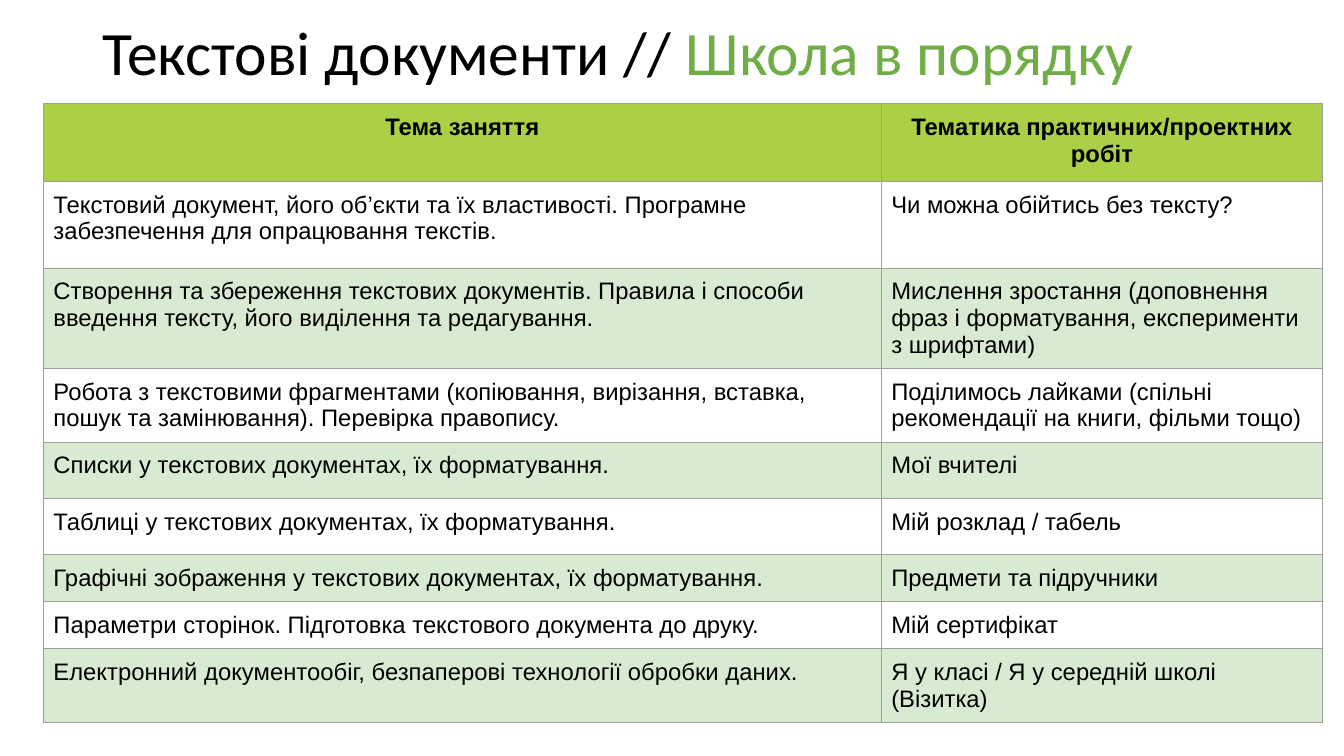
from dataclasses import dataclass

import pptx
import pptx.dml.color
import pptx.enum.text
import pptx.oxml
import pptx.oxml.ns
import pptx.util

Inches = pptx.util.Inches
Pt = pptx.util.Pt
Align = pptx.enum.text.PP_ALIGN
Anchor = pptx.enum.text.MSO_ANCHOR


@dataclass(frozen=True)
class Theme:
    ink: str = "000000"
    green: str = "70AD47"
    head: str = "ABD047"
    band: str = "D9EAD3"
    rule: str = "9E9E9E"
    title: int = 44
    body: int = 17
    line: float = 0.75
    title_font: str = "Calibri"
    body_font: str = "Arial"


@dataclass(frozen=True)
class Row:
    topic: str
    task: str
    height: float


THEME = Theme()
WIDTHS = (8.31, 4.38)
ROWS = (
    Row("Тема заняття", "Тематика практичних/проектних робіт", 0.77),
    Row("Текстовий документ, його об’єкти та їх властивості. "
        "Програмне забезпечення для опрацювання текстів.",
        "Чи можна обійтись без тексту?", 0.86),
    Row("Створення та збереження текстових документів. Правила і способи "
        "введення тексту, його виділення та редагування.",
        "Мислення зростання (доповнення фраз і форматування, "
        "експерименти з шрифтами)", 0.86),
    Row("Робота з текстовими фрагментами (копіювання, вирізання, вставка, "
        "пошук та замінювання). Перевірка правопису.",
        "Поділимось лайками (спільні рекомендації на книги, фільми тощо)", 0.55),
    Row("Списки у текстових документах, їх форматування.", "Мої вчителі", 0.56),
    Row("Таблиці у текстових документах, їх форматування.",
        "Мій розклад / табель", 0.56),
    Row("Графічні зображення у текстових документах, їх форматування.",
        "Предмети та підручники", 0.21),
    Row("Параметри сторінок. Підготовка текстового документа до друку.",
        "Мій сертифікат", 0.13),
    Row("Електронний документообіг, безпаперові технології обробки даних.",
        "Я у класі / Я у середній школі (Візитка)", 0.58),
)


def add_run(para, text: str, font: str, size: int, color: str,
            bold: bool = False) -> None:
    run = para.add_run()
    run.text = text
    run.font.name = font
    run.font.size = Pt(size)
    run.font.bold = bold
    run.font.color.rgb = pptx.dml.color.RGBColor.from_string(color)


def add_title(slide) -> None:
    box = slide.shapes.add_textbox(Inches(0.92), Inches(0.24), Inches(11.5), Inches(0.63))
    frame = box.text_frame
    frame.word_wrap = True
    frame.vertical_anchor = Anchor.MIDDLE
    para = frame.paragraphs[0]
    para.line_spacing = 0.9
    for text, color in (("Текстові документи // ", THEME.ink),
                        ("Школа в порядку", THEME.green)):
        add_run(para, text, THEME.title_font, THEME.title, color)


def add_rules(cell) -> None:
    props = cell._tc.get_or_add_tcPr()
    space = pptx.oxml.ns.nsdecls("a")
    for side in "LRTB":
        props.append(pptx.oxml.parse_xml(
            f'<a:ln{side} {space} w="{Pt(THEME.line)}"><a:solidFill>'
            f'<a:srgbClr val="{THEME.rule}"/></a:solidFill></a:ln{side}>'))


def fill_cell(cell, text: str, index: int) -> None:
    head = index == 0
    cell.margin_left = cell.margin_right = Inches(0.1)
    cell.margin_top = cell.margin_bottom = Inches(0.1)
    add_rules(cell)
    if index % 2:
        cell.fill.background()
    else:
        cell.fill.solid()
        tint = THEME.head if head else THEME.band
        cell.fill.fore_color.rgb = pptx.dml.color.RGBColor.from_string(tint)
    para = cell.text_frame.paragraphs[0]
    para.alignment = Align.CENTER if head else Align.LEFT
    add_run(para, text, THEME.body_font, THEME.body, THEME.ink, head)


def add_grid(slide) -> None:
    total = sum(row.height for row in ROWS)
    table = slide.shapes.add_table(
        len(ROWS), len(WIDTHS), Inches(0.43), Inches(1.03),
        Inches(sum(WIDTHS)), Inches(total)).table
    table.first_row = table.horz_banding = False
    for column, width in zip(table.columns, WIDTHS):
        column.width = Inches(width)
    for index, row in enumerate(ROWS):
        table.rows[index].height = Inches(row.height)
        for place, text in enumerate((row.topic, row.task)):
            fill_cell(table.cell(index, place), text, index)


def main() -> None:
    deck = pptx.Presentation()
    deck.slide_width = Inches(13.33)
    deck.slide_height = Inches(7.5)
    slide = deck.slides.add_slide(deck.slide_layouts[6])
    add_grid(slide)
    add_title(slide)
    deck.save("out.pptx")


if __name__ == "__main__":
    main()
